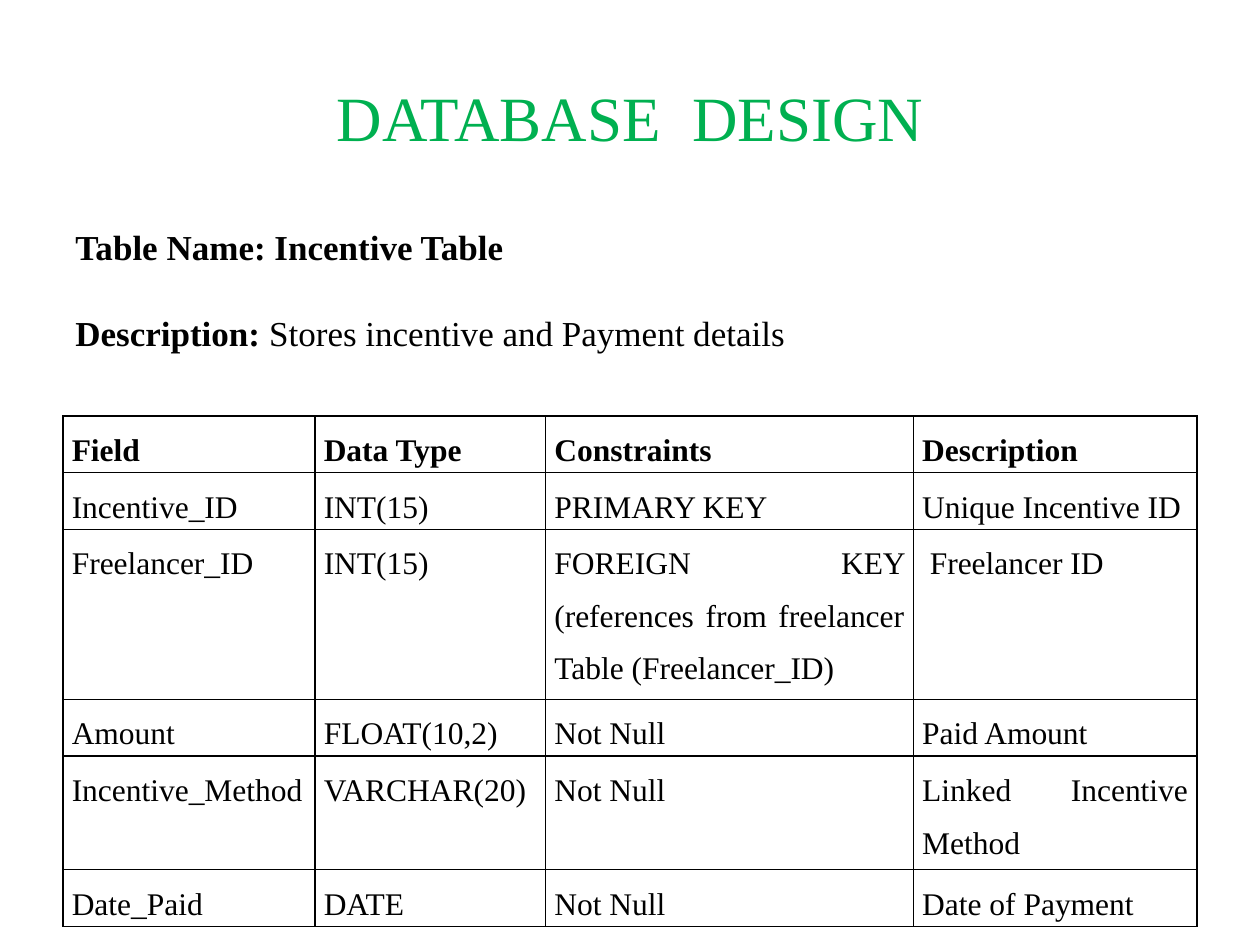
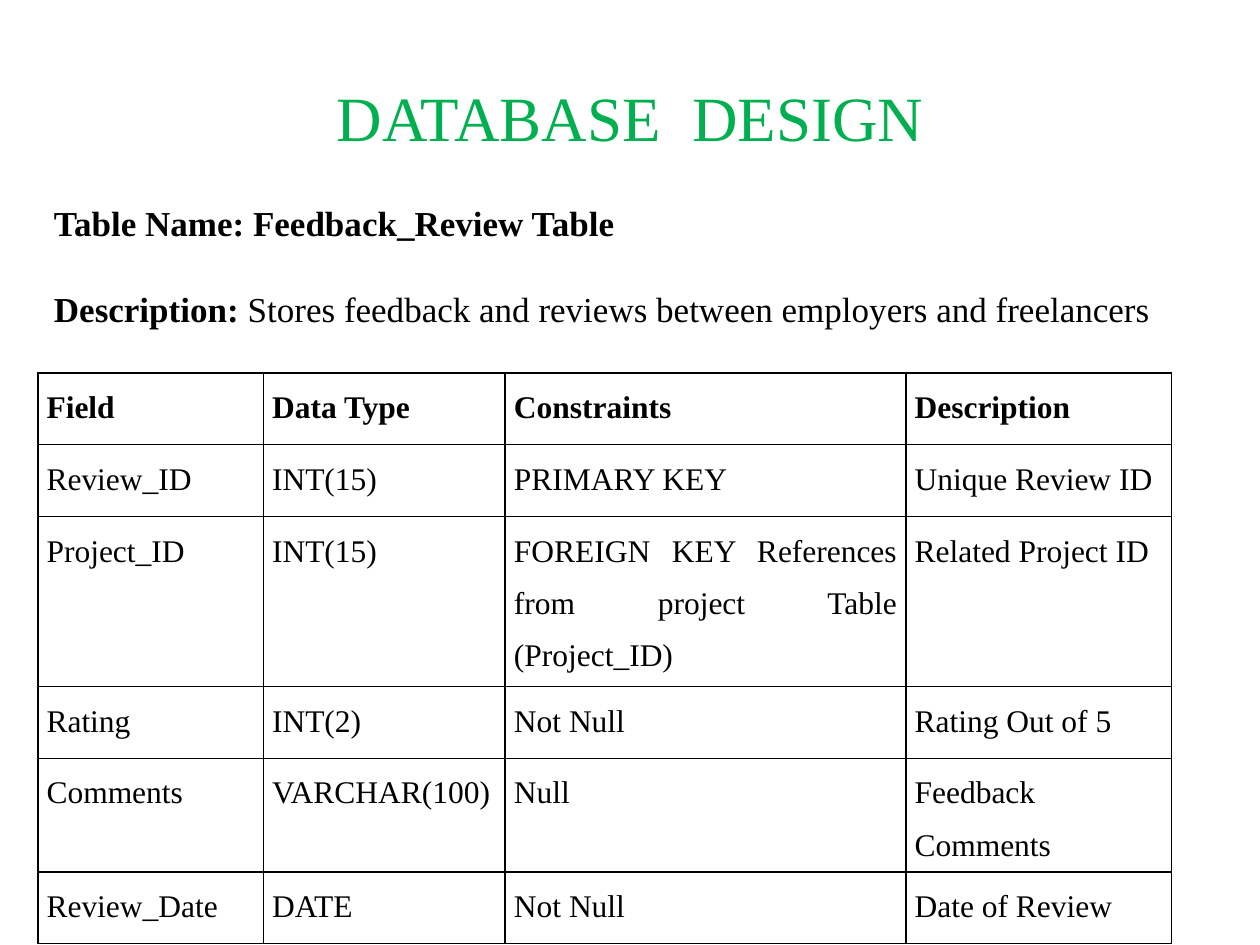
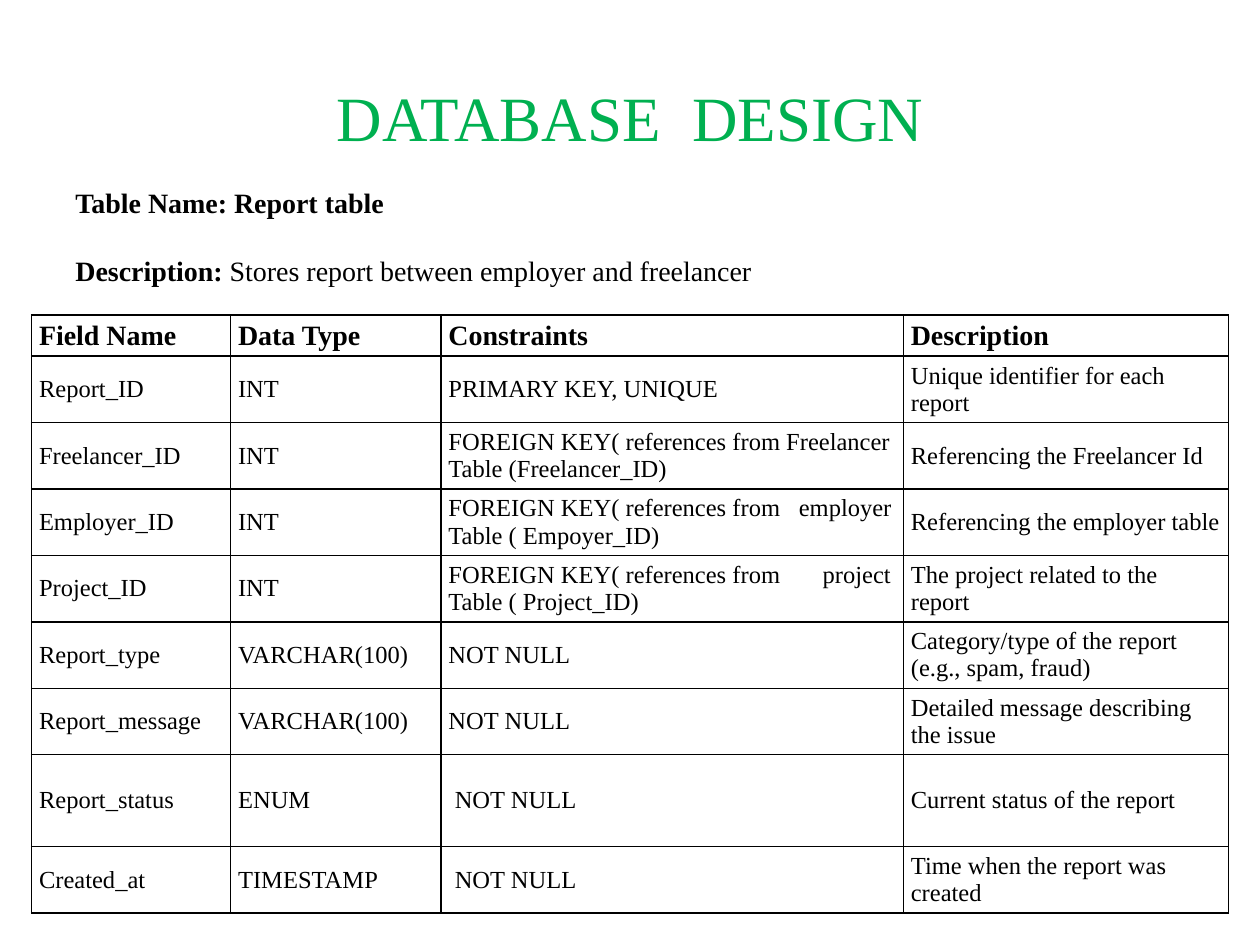
from lxml import etree
from pptx import Presentation
from pptx.dml.color import RGBColor
from pptx.enum.text import MSO_ANCHOR, PP_ALIGN
from pptx.oxml.ns import qn
from pptx.util import Inches, Pt

GREEN = RGBColor(0x00, 0xB0, 0x50)
BLACK = RGBColor(0x00, 0x00, 0x00)
FONT = "Times New Roman"
TOP, MIDDLE = MSO_ANCHOR.TOP, MSO_ANCHOR.MIDDLE
LEFT, CENTER, JUSTIFY = PP_ALIGN.LEFT, PP_ALIGN.CENTER, PP_ALIGN.JUSTIFY


def write(para, text, size=18, bold=False, color=BLACK, align=LEFT, line=None, space=0):
    para.alignment = align
    if line:
        para.line_spacing = line
    if space:
        para.space_before = Pt(space)
    run = para.add_run()
    run.text = text
    font = run.font
    font.name, font.size, font.bold = FONT, Pt(size), bold
    font.color.rgb = color
    return run


def set_tab(para, stop):
    tabs = etree.SubElement(para._p.get_or_add_pPr(), qn("a:tabLst"))
    etree.SubElement(tabs, qn("a:tab"), pos=str(Inches(stop)), algn="l")


def frame(cell):
    cell.fill.background()
    props = cell._tc.get_or_add_tcPr()
    for spot, side in enumerate(("lnL", "lnR", "lnT", "lnB")):
        edge = etree.Element(qn(f"a:{side}"), w=str(Pt(1)))
        fill = etree.SubElement(edge, qn("a:solidFill"))
        etree.SubElement(fill, qn("a:srgbClr"), val=str(BLACK))
        props.insert(spot, edge)


class Deck:
    def __init__(self):
        self.file = Presentation()
        self.file.slide_width, self.file.slide_height = Inches(10), Inches(7.5)
        self.slide = None

    def box(self, left, top, width, height, anchor=TOP):
        area = [Inches(v) for v in (left, top, width, height)]
        body = self.slide.shapes.add_textbox(*area).text_frame
        body.word_wrap = True
        body.vertical_anchor = anchor
        return body

    def page(self):
        self.slide = self.file.slides.add_slide(self.file.slide_layouts[6])
        para = self.box(0.5, 0.3, 9, 1.25, MIDDLE).paragraphs[0]
        for part in ("DATABASE", " ", "DESIGN"):
            run = write(para, part, size=36, color=GREEN, align=CENTER)
            if part == " ":
                run._r.get_or_add_rPr().set("spc", "900")

    def intro(self, area, name, about, size=20):
        body = self.box(*area)
        write(body.paragraphs[0], f"Table Name: {name}", size=size, bold=True)
        para = body.add_paragraph()
        write(para, "Description:", size=size, bold=True, space=size * 1.25)
        write(para, f" {about}", size=size, space=size * 1.25)

    def grid(self, left, top, cols, rows, data, head=18, size=18, align=JUSTIFY,
             line=1.5, inset=(0.07, 0), anchor=TOP, pads=None, stops=None):
        pads, stops = pads or {}, stops or {}
        area = [Inches(v) for v in (left, top, sum(cols), sum(rows))]
        table = self.slide.shapes.add_table(len(rows), len(cols), *area).table
        table.horz_banding = False
        for col, width in zip(table.columns, cols):
            col.width = Inches(width)
        for row, height in zip(table.rows, rows):
            row.height = Inches(height)
        for r, texts in enumerate(data):
            for c, text in enumerate(texts):
                cell = table.cell(r, c)
                frame(cell)
                side, edge = inset
                cell.margin_left = Inches(side + pads.get((r, c), 0))
                cell.margin_right = Inches(side)
                cell.margin_top = cell.margin_bottom = Inches(edge)
                cell.vertical_anchor = anchor
                para = cell.text_frame.paragraphs[0]
                if (r, c) in stops:
                    set_tab(para, stops[r, c])
                write(para, text, size=size if r else head, bold=r == 0,
                      align=align, line=line)


HEAD = ["Field", "Data Type", "Constraints", "Description"]

INCENTIVE = [
    HEAD,
    ["Incentive_ID", "INT(15)", "PRIMARY KEY", "Unique Incentive ID"],
    ["Freelancer_ID", "INT(15)",
     "FOREIGN KEY (references from freelancer Table (Freelancer_ID)", "Freelancer ID"],
    ["Amount", "FLOAT(10,2)", "Not Null", "Paid Amount"],
    ["Incentive_Method", "VARCHAR(20)", "Not Null", "Linked Incentive Method"],
    ["Date_Paid", "DATE", "Not Null", "Date of Payment"],
]

REVIEW = [
    HEAD,
    ["Review_ID", "INT(15)", "PRIMARY KEY", "Unique Review ID"],
    ["Project_ID", "INT(15)",
     "FOREIGN KEY References from project Table (Project_ID)", "Related Project ID"],
    ["Rating", "INT(2)", "Not Null", "Rating Out of 5"],
    ["Comments", "VARCHAR(100)", "Null", "Feedback Comments"],
    ["Review_Date", "DATE", "Not Null", "Date of Review"],
]

REPORT = [
    ["Field Name"] + HEAD[1:],
    ["Report_ID", "INT", "PRIMARY KEY, UNIQUE", "Unique identifier for each report"],
    ["Freelancer_ID", "INT",
     "FOREIGN KEY( references from Freelancer Table (Freelancer_ID)",
     "Referencing the Freelancer Id"],
    ["Employer_ID", "INT",
     "FOREIGN KEY( references from\temployer Table ( Empoyer_ID)",
     "Referencing the employer table"],
    ["Project_ID", "INT",
     "FOREIGN KEY( references from\tproject Table ( Project_ID)",
     "The project related to the report"],
    ["Report_type", "VARCHAR(100)", "NOT NULL",
     "Category/type of the report (e.g., spam, fraud)"],
    ["Report_message", "VARCHAR(100)", "NOT NULL", "Detailed message describing the issue"],
    ["Report_status", "ENUM", "NOT NULL", "Current status of the report"],
    ["Created_at", "TIMESTAMP", "NOT NULL", "Time when the report was created"],
]


def main():
    deck = Deck()

    deck.page()
    deck.grid(0.5, 3.3, [2, 1.83, 2.92, 2.25], [0.42, 0.42, 1.3, 0.42, 0.9, 0.42],
              INCENTIVE, pads={(2, 3): 0.06})
    deck.intro((0.5, 1.74, 7.36, 1.41), "Incentive Table",
               "Stores incentive and Payment details")

    deck.page()
    deck.grid(0.3, 2.96, [1.79, 1.92, 3.18, 2.11], [0.57, 0.57, 1.21] + [0.57] * 3, REVIEW)
    deck.intro((0.33, 1.55, 8.96, 1.41), "Feedback_Review Table",
               "Stores feedback and reviews between employers and freelancers")

    deck.page()
    deck.intro((0.5, 1.42, 7.82, 1.88), "Report table",
               "Stores report between employer and freelancer", size=16)
    deck.grid(0.25, 2.5, [1.58, 1.67, 3.67, 2.58],
              [0.18, 0.27] + [0.38] * 4 + [0.32, 0.73, 0.38], REPORT,
              head=16, size=14, align=LEFT, line=None, inset=(0.06, 0.03), anchor=MIDDLE,
              pads={(7, 2): 0.05, (8, 2): 0.05}, stops={(3, 2): 2.78, (4, 2): 2.97})

    deck.file.save("out.pptx")


if __name__ == "__main__":
    main()
